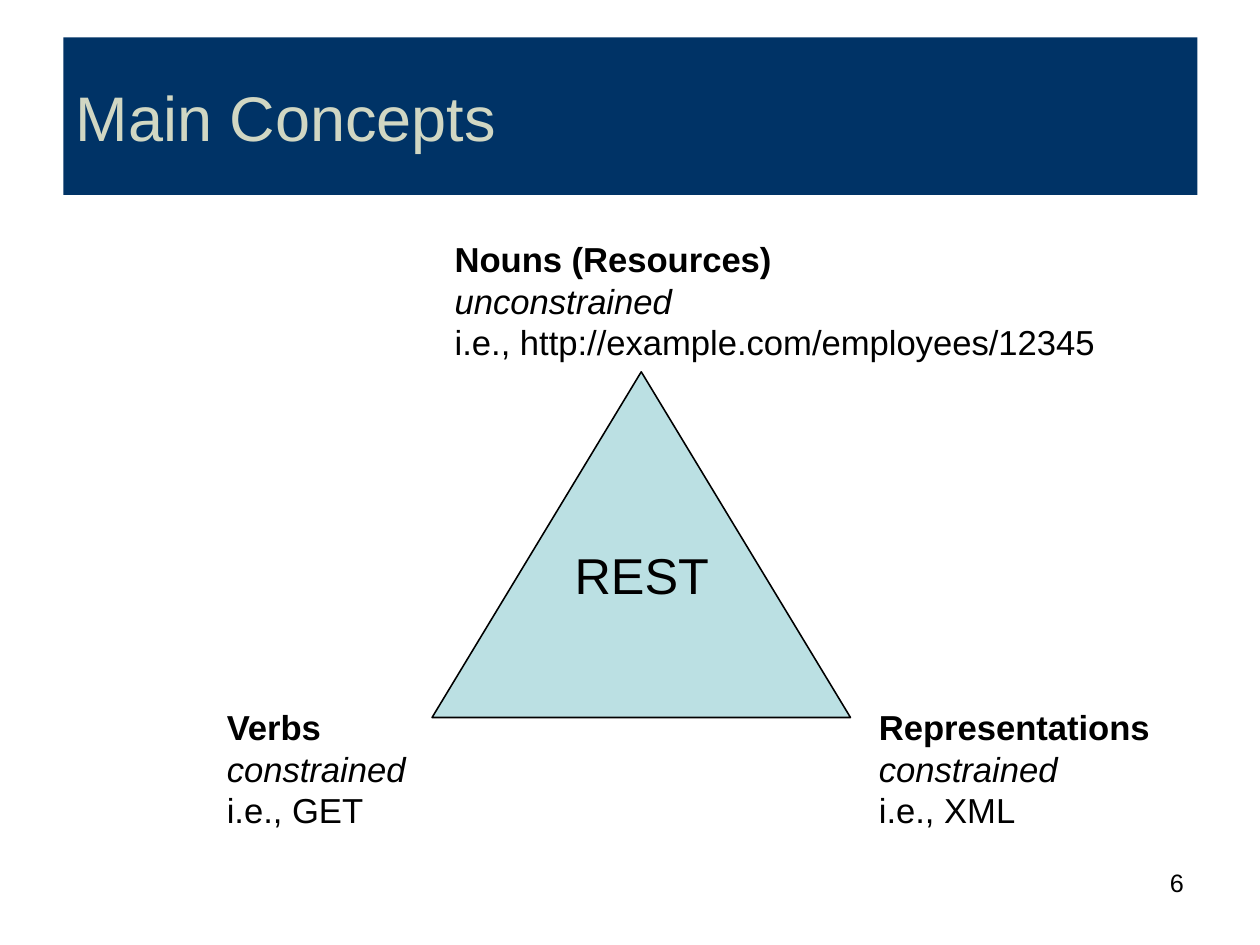
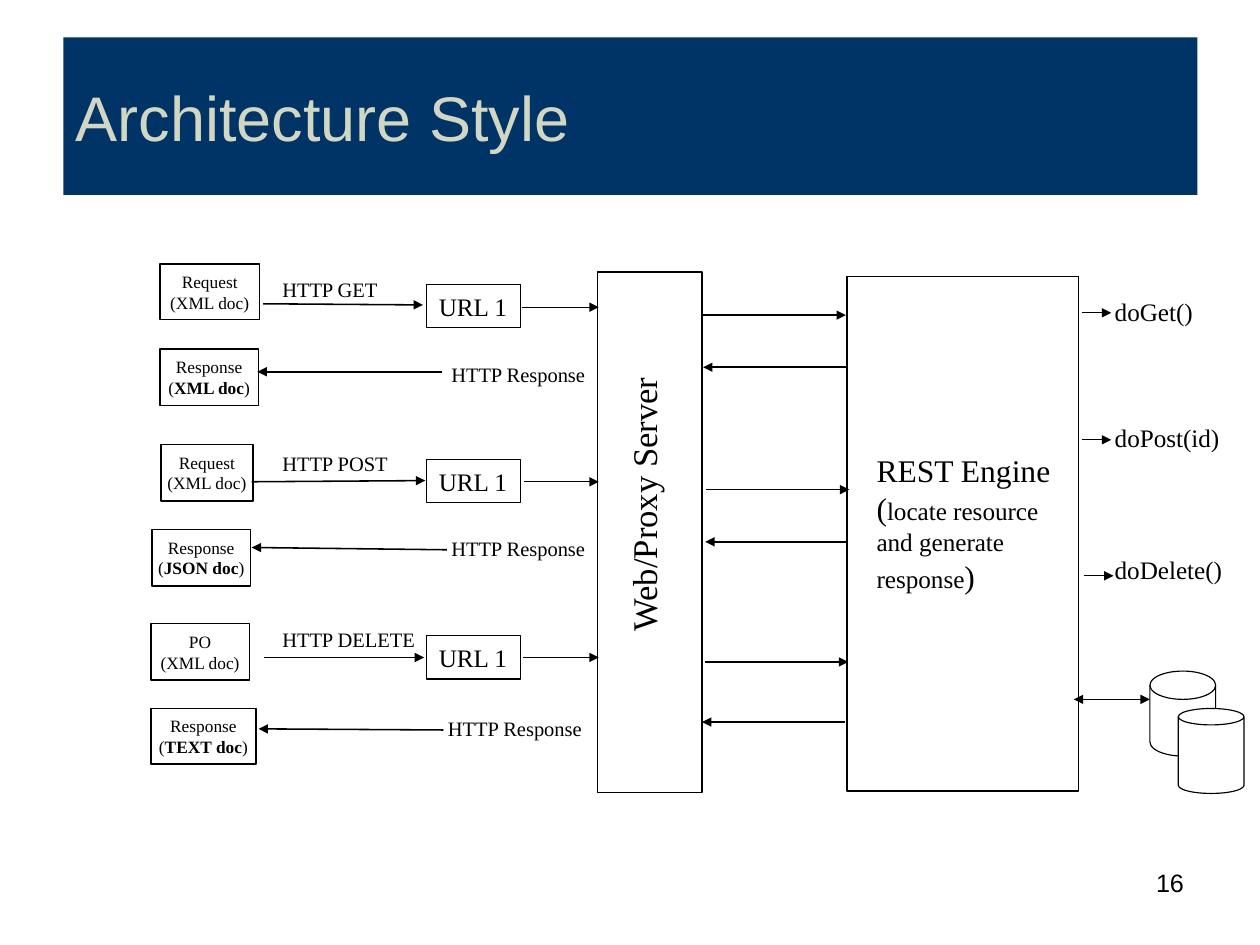
from dataclasses import dataclass

from lxml import etree
from pptx import Presentation
from pptx.dml.color import RGBColor
from pptx.enum.shapes import MSO_CONNECTOR, MSO_SHAPE
from pptx.enum.text import MSO_ANCHOR, PP_ALIGN
from pptx.oxml.ns import qn
from pptx.slide import Slide
from pptx.text.text import TextFrame
from pptx.util import Inches, Pt

# Shared look
NAVY = RGBColor(0x00, 0x33, 0x66)
SAGE = RGBColor(0xD1, 0xD7, 0xC3)
PALE_TEAL = RGBColor(0xBB, 0xE0, 0xE3)
BLACK = RGBColor(0, 0, 0)
WHITE = RGBColor(0xFF, 0xFF, 0xFF)
SANS, SERIF = "Arial", "Times New Roman"
THICK, THIN = 0.99, 0.74
LEFT, CENTER, RIGHT = PP_ALIGN.LEFT, PP_ALIGN.CENTER, PP_ALIGN.RIGHT
TOP, MIDDLE = MSO_ANCHOR.TOP, MSO_ANCHOR.MIDDLE
RECT, TRIANGLE = MSO_SHAPE.RECTANGLE, MSO_SHAPE.ISOSCELES_TRIANGLE
DISK, CAN = MSO_SHAPE.FLOWCHART_MAGNETIC_DISK, MSO_SHAPE.CAN
STRAIGHT = MSO_CONNECTOR.STRAIGHT
MARGINS = {"margin_left": Inches(0.11), "margin_right": Inches(0.11),
           "margin_top": Inches(0.06), "margin_bottom": Inches(0.06)}

Area = tuple[float, float, float, float]
Point = tuple[float, float]
Run = tuple[str, dict]


@dataclass(frozen=True)
class TextStyle:
    size: float
    font: str = SERIF
    color: RGBColor = BLACK
    align: PP_ALIGN = LEFT
    anchor: MSO_ANCHOR = TOP
    wrap: bool = False


@dataclass(frozen=True)
class Label:
    area: Area
    paragraphs: list[list[Run]]
    style: TextStyle
    rotation: float = 0


@dataclass(frozen=True)
class Box:
    area: Area
    kind: MSO_SHAPE = RECT
    fill: RGBColor | None = WHITE
    weight: float = THICK
    paragraphs: list[list[Run]] | None = None
    style: TextStyle | None = None


@dataclass(frozen=True)
class Arrow:
    start: Point
    end: Point
    weight: float = THICK
    both_ends: bool = False


TITLE = TextStyle(40, SANS, SAGE, anchor=MIDDLE, wrap=True)
PAGE_NUMBER = TextStyle(16, SANS, align=RIGHT, wrap=True)
CORNER = TextStyle(22, SANS)
CORE = TextStyle(32, SANS, align=CENTER)
DOCUMENT = TextStyle(11, align=CENTER, anchor=MIDDLE)
MESSAGE = TextStyle(13)
CALL = TextStyle(16)
SERVER = TextStyle(22, align=CENTER)
ENGINE = TextStyle(20, wrap=True)


def plain(text: str) -> list[list[Run]]:
    return [[(text, {})]]


def write(frame: TextFrame, paragraphs: list[list[Run]], style: TextStyle) -> None:
    """Fill a text frame; a run ending in a newline is followed by a line break."""
    frame_format = {**MARGINS, "word_wrap": style.wrap, "vertical_anchor": style.anchor}
    for name, value in frame_format.items():
        setattr(frame, name, value)
    for index, runs in enumerate(paragraphs):
        paragraph = frame.add_paragraph() if index else frame.paragraphs[0]
        paragraph.alignment = style.align
        for text, changes in runs:
            run = paragraph.add_run()
            run.text = text.rstrip("\n")
            run_format = {"name": style.font, "size": Pt(style.size), **changes}
            for name, value in run_format.items():
                setattr(run.font, name, value)
            run.font.color.rgb = style.color
            if text.endswith("\n"):
                paragraph.add_line_break()


def draw_label(slide: Slide, label: Label) -> None:
    text_box = slide.shapes.add_textbox(*map(Inches, label.area))
    text_box.rotation = label.rotation
    write(text_box.text_frame, label.paragraphs, label.style)


def draw_box(slide: Slide, box: Box) -> None:
    shape = slide.shapes.add_shape(box.kind, *map(Inches, box.area))
    shape.shadow.inherit = False
    if box.fill is None:
        shape.fill.background()
    else:
        shape.fill.solid()
        shape.fill.fore_color.rgb = box.fill
    shape.line.color.rgb = BLACK
    shape.line.width = Pt(box.weight)
    if box.paragraphs and box.style:
        write(shape.text_frame, box.paragraphs, box.style)


def draw_arrow(slide: Slide, arrow: Arrow) -> None:
    connector = slide.shapes.add_connector(
        STRAIGHT, *map(Inches, (*arrow.start, *arrow.end)))
    connector.line.color.rgb = BLACK
    connector.line.width = Pt(arrow.weight)
    properties = connector.element.spPr
    outline = properties.find(qn("a:ln"))
    for end in ("a:headEnd", "a:tailEnd") if arrow.both_ends else ("a:tailEnd",):
        etree.SubElement(outline, qn(end), type="triangle")
    etree.SubElement(properties, qn("a:effectLst"))


def add_slide(title: str, number: int) -> Slide:
    slide = deck.slides.add_slide(deck.slide_layouts[5])
    band = slide.shapes.title
    area = dict(zip(("left", "top", "width", "height"),
                    map(Inches, (0.56, 0.33, 10, 1.39))))
    for name, value in area.items():
        setattr(band, name, value)
    band.fill.solid()
    band.fill.fore_color.rgb = NAVY
    write(band.text_frame, plain(title), TITLE)
    draw_label(slide, Label((7.96, 7.59, 2.59, 0.58), plain(str(number)), PAGE_NUMBER))
    return slide


def corner(area: Area, name: str, limit: str, example: str) -> Label:
    runs = [(f"{name}\n", {"bold": True}), (f"{limit}\n", {"italic": True}),
            (f"i.e., {example}", {})]
    return Label(area, [runs], CORNER)


def document(area: Area, name: str, file_format: str, bold: bool) -> Box:
    if bold:
        second = [("(", {}), (f"{file_format} doc", {"bold": True}), (")", {})]
    else:
        second = [(f"({file_format} doc)", {})]
    return Box(area, paragraphs=[[(name, {})], second], style=DOCUMENT)


# The page is 11.11 by 8.34 inches, which is 800 by 600.25 points
deck = Presentation()
deck.slide_width, deck.slide_height = Pt(800), Pt(600.25)

# Main Concepts: triangle with a concept at each corner
concepts = add_slide("Main Concepts", 6)
draw_box(concepts, Box((3.81, 3.28, 3.69, 3.05), TRIANGLE, PALE_TEAL))
for concept in (
    corner((3.9, 2.04, 5.87, 1.21), "Nouns (Resources)", "unconstrained",
           "http://example.com/employees/12345"),
    corner((1.89, 6.17, 1.8, 1.21), "Verbs", "constrained", "GET"),
    corner((7.64, 6.17, 2.61, 1.21), "Representations", "constrained", "XML"),
    Label((4.93, 4.74, 1.46, 0.64), plain("REST"), CORE),
):
    draw_label(concepts, concept)

# Architecture Style: documents, server and engine
architecture = add_slide("Architecture Style", 16)
documents = [
    document((1.41, 2.33, 0.88, 0.49), "Request", "XML", False),
    document((1.41, 3.08, 0.87, 0.5), "Response", "XML", True),
    document((1.42, 3.92, 0.81, 0.5), "Request", "XML", False),
    document((1.34, 4.67, 0.87, 0.5), "Response", "JSON", True),
    document((1.33, 5.5, 0.87, 0.5), "PO", "XML", False),
    document((1.33, 6.25, 0.93, 0.49), "Response", "TEXT", True),
]
urls = [Box((3.76, top, 0.83, 0.38), fill=None, weight=THIN,
            paragraphs=plain("URL 1"), style=CALL) for top in (2.51, 4.05, 5.61)]
server = Box((5.27, 2.4, 0.92, 4.59))
engine = Box((7.47, 2.44, 2.04, 4.54))
databases = [Box((10.14, 5.92, 0.58, 0.75), DISK, None, THIN),
             Box((10.39, 6.25, 0.58, 0.75), CAN, WHITE, THIN)]
for box in (*documents, *urls, server, engine, *databases):
    draw_box(architecture, box)

# Messages, handlers and captions
messages = [Label((2.38, top, width, 0.33), plain(f"HTTP {verb}"), MESSAGE)
            for verb, top, width in (("GET", 2.38, 1.07), ("POST", 3.92, 1.16),
                                     ("DELETE", 5.47, 1.4))]
replies = [Label((left, top, 1.41, 0.33), plain("HTTP Response"), MESSAGE)
           for left, top in ((3.87, 3.13), (3.87, 4.67), (3.84, 6.26))]
handlers = [Label((9.72, top, width, 0.38), plain(call), CALL)
            for call, top, width in (("doGet()", 2.55, 0.91), ("doPost(id)", 3.67, 1.15),
                                     ("doDelete()", 4.83, 1.17))]
captions = [
    Label((4.42, 4.21, 2.5, 0.48), plain("Web/Proxy Server"), SERVER, rotation=270),
    Label((7.62, 3.92, 1.77, 1.38),
          [[("REST Engine", {})],
           [("(", {}), ("locate resource and generate response", {"size": Pt(16)}),
            (")", {})]], ENGINE),
]
for label in (*messages, *replies, *handlers, *captions):
    draw_label(architecture, label)

# Flow from documents through server and engine to handlers
requests = [Arrow((2.32, 2.68), (3.73, 2.69)), Arrow((2.22, 4.25), (3.75, 4.24)),
            Arrow((2.33, 5.8), (3.74, 5.8))]
responses = [Arrow((3.9, 3.28), (2.27, 3.28)), Arrow((3.94, 4.85), (2.22, 4.83)),
             Arrow((3.91, 6.44), (2.28, 6.43))]
into_server = [Arrow((start, y), (5.28, y), THIN)
               for start, y in ((4.6, 2.71), (4.62, 4.25), (4.61, 5.8))]
into_engine = [Arrow((left, y), (left + 1.26, y))
               for left, y in ((6.2, 2.78), (6.23, 4.32), (6.22, 5.84))]
out_of_engine = [Arrow((left + 1.26, y), (left, y))
                 for left, y in ((6.2, 3.24), (6.22, 4.78), (6.19, 6.37))]
into_handlers = [Arrow((left, y), (left + 0.26, y), THIN)
                 for left, y in ((9.54, 2.76), (9.54, 3.88), (9.56, 5.08))]
storage = Arrow((9.47, 6.17), (10.14, 6.17), THIN, both_ends=True)
for arrow in (*requests, *responses, *into_server, *into_engine, *out_of_engine,
              *into_handlers, storage):
    draw_arrow(architecture, arrow)

deck.save("out.pptx")
